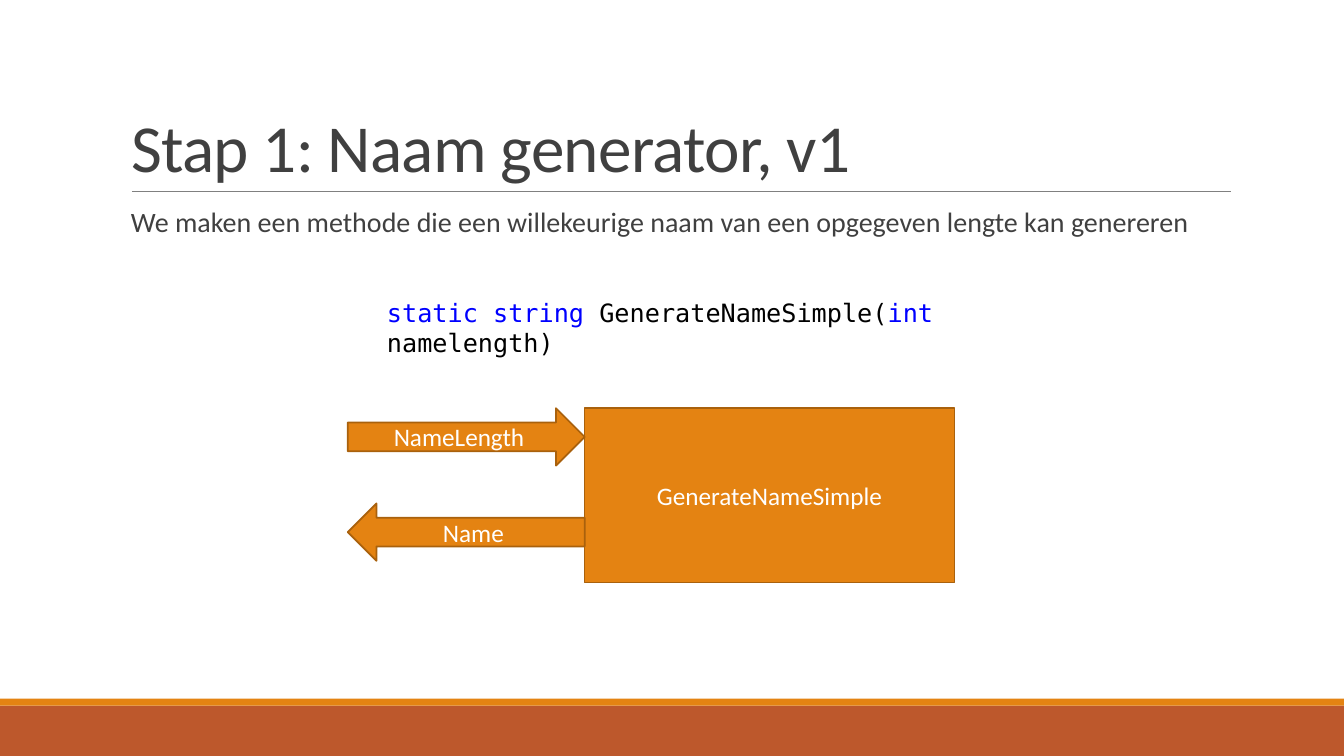
import pptx
import pptx.util
import pptx.dml.color
import pptx.enum.shapes
import pptx.enum.text
import pptx.oxml
import pptx.oxml.ns

Pt = pptx.util.Pt
SHAPES = pptx.enum.shapes.MSO_SHAPE
ANCHOR = pptx.enum.text.MSO_ANCHOR
ALIGN = pptx.enum.text.PP_ALIGN

COLORS = {
    "orange": "E48312", "outline": "A9610D", "rust": "BD582C", "rule": "808080",
    "text": "404040", "white": "FFFFFF", "keyword": "0000FF", "code": "000000",
}
TEXT_FONT, CODE_FONT = "Calibri", "DejaVu Sans Mono"

TITLE = "Stap 1: Naam generator, v1"
INTRO = "We maken een methode die een willekeurige naam van een opgegeven lengte kan genereren"
SIGNATURE = [
    ("static string", "keyword"),
    (" GenerateNameSimple(", "code"),
    ("int", "keyword"),
    (" namelength)", "code"),
]
METHOD = "GenerateNameSimple"
ARROWS = [("NameLength", SHAPES.RIGHT_ARROW), ("Name", SHAPES.LEFT_ARROW)]

SLIDE_W, SLIDE_H = 960, 540
FOOTER_H, STRIPE_H = 36, 5
MARGIN, CONTENT_W = 86.4, 792
RULE_LEFT, RULE_RIGHT, RULE_Y = 94.3, 879.1, 136.8
METHOD_BOX = (417.6, 291.6, 264.2, 124.6)
ARROW_W, ARROW_H, ARROW_STEP = 169.2, 41, 68


def rgb(name):
    return pptx.dml.color.RGBColor.from_string(COLORS[name])


def write(paragraph, text, size, color, font=TEXT_FONT):
    run = paragraph.add_run()
    run.text = text
    run.font.size, run.font.name = Pt(size), font
    run.font.color.rgb = rgb(color)
    return run


def add_block(kind, box, fill, label=None):
    block = slide.shapes.add_shape(kind, *map(Pt, box))
    block.shadow.inherit = False
    block.fill.solid()
    block.fill.fore_color.rgb = rgb(fill)
    if label is None:
        block.line.fill.background()
        return
    block.line.color.rgb = rgb("outline")
    block.line.width = Pt(1.25)
    block.text_frame.vertical_anchor = ANCHOR.MIDDLE
    block.text_frame.word_wrap = True
    paragraph = block.text_frame.paragraphs[0]
    paragraph.alignment = ALIGN.CENTER
    write(paragraph, label, 18, "white")


def add_text(left, top, width, height):
    frame = slide.shapes.add_textbox(*map(Pt, (left, top, width, height))).text_frame
    frame.word_wrap = True
    return frame.paragraphs[0]


deck = pptx.Presentation()
deck.slide_width, deck.slide_height = Pt(SLIDE_W), Pt(SLIDE_H)
slide = deck.slides.add_slide(deck.slide_layouts[5])

footer_top = SLIDE_H - FOOTER_H
add_block(SHAPES.RECTANGLE, (0, footer_top, SLIDE_W, FOOTER_H), "rust")
add_block(SHAPES.RECTANGLE, (0, footer_top - STRIPE_H, SLIDE_W, STRIPE_H), "orange")

rule = slide.shapes.add_connector(
    pptx.enum.shapes.MSO_CONNECTOR.STRAIGHT, *map(Pt, (RULE_LEFT, RULE_Y, RULE_RIGHT, RULE_Y)))
rule.line.color.rgb = rgb("rule")
rule.line.width = Pt(0.5)
rule.element.spPr.append(pptx.oxml.parse_xml(
    f'<a:effectLst {pptx.oxml.ns.nsdecls("a")}/>'))

title = slide.shapes.title
title.left, title.top, title.width, title.height = map(Pt, (MARGIN, 22.3, CONTENT_W, 114.5))
title.text_frame.auto_size = pptx.enum.text.MSO_AUTO_SIZE.NONE
title.text_frame.vertical_anchor = ANCHOR.BOTTOM
heading = title.text_frame.paragraphs[0]
heading.alignment = ALIGN.LEFT
heading.line_spacing = 0.85
heading_run = write(heading, TITLE, 48, "text")
heading_run.font._element.set("spc", "-50")

intro = add_text(MARGIN, 145.4, CONTENT_W, 316.8)
intro.line_spacing = 0.9
write(intro, INTRO, 20, "text")

add_block(SHAPES.RECTANGLE, METHOD_BOX, "orange", METHOD)
method_left, method_top = METHOD_BOX[:2]
for row, (label, kind) in enumerate(ARROWS):
    box = (method_left - ARROW_W, method_top + row * ARROW_STEP, ARROW_W, ARROW_H)
    add_block(kind, box, "orange", label)

signature = add_text(269.3, 208.8, 493.2, 28.8)
for text, color in SIGNATURE:
    write(signature, text, 18, color, CODE_FONT)

deck.save("out.pptx")
